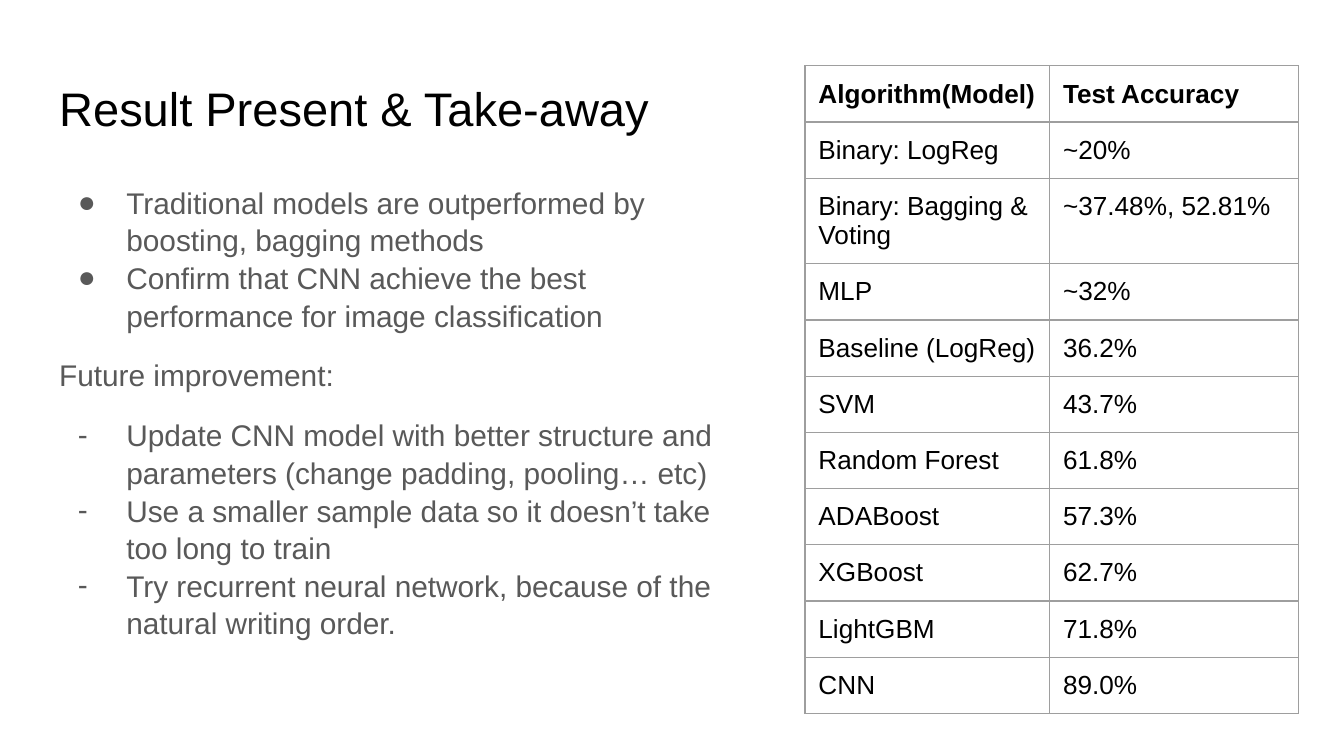
from lxml import etree
from pptx import Presentation
from pptx.dml.color import RGBColor
from pptx.enum.text import MSO_ANCHOR, MSO_AUTO_SIZE, PP_ALIGN
from pptx.oxml.ns import qn
from pptx.util import Emu, Inches, Pt

TOP, LEFT = MSO_ANCHOR.TOP, PP_ALIGN.LEFT
NO_FIT = MSO_AUTO_SIZE.NONE
FONT = "Arial"
BLACK, GRAY, RULE = "000000", "595959", "9E9E9E"
INSET = Emu(91425)

# Bullet, text, space before in points
TAKEAWAYS = [
    ("●", "Traditional models are outperformed by boosting, bagging methods", 0),
    ("●", "Confirm that CNN achieve the best performance for image classification", 0),
    (None, "Future improvement:", 12),
    ("-", "Update CNN model with better structure and parameters "
          "(change padding, pooling… etc)", 12),
    ("-", "Use a smaller sample data so it doesn’t take too long to train", 0),
    ("-", "Try recurrent neural network, because of the natural writing order.", 0),
]

RESULTS = [
    ("Algorithm(Model)", "Test Accuracy"),
    ("Binary: LogReg", "~20%"),
    ("Binary: Bagging & Voting", "~37.48%, 52.81%"),
    ("MLP", "~32%"),
    ("Baseline (LogReg)", "36.2%"),
    ("SVM", "43.7%"),
    ("Random Forest", "61.8%"),
    ("ADABoost", "57.3%"),
    ("XGBoost", "62.7%"),
    ("LightGBM", "71.8%"),
    ("CNN", "89.0%"),
]


def color(hex_string):
    return RGBColor.from_string(hex_string)


def format_text(para, size, hex_string, bold=False):
    para.alignment = LEFT
    for span in para.runs:
        span.font.name = FONT
        span.font.size = Pt(size)
        span.font.bold = bold
        span.font.color.rgb = color(hex_string)


def set_insets(area):
    area.margin_left = area.margin_right = INSET
    area.margin_top = area.margin_bottom = INSET
    area.vertical_anchor = TOP


def place(box, left, top, width, height):
    box.left, box.top = Inches(left), Inches(top)
    box.width, box.height = Inches(width), Inches(height)
    set_insets(box.text_frame)
    box.text_frame.auto_size = NO_FIT
    box.text_frame.word_wrap = True


def set_bullet(para, bullet):
    properties = para._p.get_or_add_pPr()
    properties.set("marL", str(Inches(0.5) if bullet else 0))
    properties.set("indent", str(Inches(-0.36) if bullet else 0))
    if not bullet:
        etree.SubElement(properties, qn("a:buNone"))
        return
    bullet_color = etree.SubElement(properties, qn("a:buClr"))
    etree.SubElement(bullet_color, qn("a:srgbClr"), val=GRAY)
    etree.SubElement(properties, qn("a:buFont"), typeface=FONT)
    etree.SubElement(properties, qn("a:buChar"), char=bullet)


def add_title(page, text):
    box = page.shapes.title
    place(box, 0.34, 0.49, 9.32, 0.63)
    box.text_frame.text = text
    format_text(box.text_frame.paragraphs[0], 25.2, BLACK)


def add_takeaways(page):
    box = page.placeholders[1]
    place(box, 0.34, 1.26, 5.4, 3.74)
    frame = box.text_frame
    frame.text = "\n".join(text for _, text, _ in TAKEAWAYS)
    for para, (bullet, _, space) in zip(frame.paragraphs, TAKEAWAYS):
        format_text(para, 16, GRAY)
        para.line_spacing = 1.05
        para.space_before = Pt(space)
        para.space_after = Pt(0)
        set_bullet(para, bullet)


def add_borders(cell):
    properties = cell._tc.get_or_add_tcPr()
    for side in ("lnL", "lnR", "lnT", "lnB"):
        line = etree.SubElement(properties, qn(f"a:{side}"), w=str(Pt(0.75)))
        fill = etree.SubElement(line, qn("a:solidFill"))
        etree.SubElement(fill, qn("a:srgbClr"), val=RULE)


def add_results(page):
    widths, row_height = (1.82, 1.85), 0.36
    frame = page.shapes.add_table(
        len(RESULTS), len(widths), Inches(5.99), Inches(0.49),
        Inches(sum(widths)), Inches(row_height * len(RESULTS)))
    table = frame.table
    table.first_row = table.horz_banding = False
    for column, width in zip(table.columns, widths):
        column.width = Inches(width)
    for row, values in enumerate(RESULTS):
        for column, value in enumerate(values):
            cell = table.cell(row, column)
            set_insets(cell)
            cell.text_frame.text = value
            format_text(cell.text_frame.paragraphs[0], 14, BLACK, bold=row == 0)
            add_borders(cell)
            cell.fill.background()


def main():
    deck = Presentation()
    # Widescreen page, 16 to 9
    deck.slide_width = Inches(10)
    deck.slide_height = deck.slide_width * 9 // 16
    page = deck.slides.add_slide(deck.slide_layouts[1])
    # Text on the left, results on the right
    add_title(page, "Result Present & Take-away")
    add_takeaways(page)
    add_results(page)
    deck.save("out.pptx")


if __name__ == "__main__":
    main()
